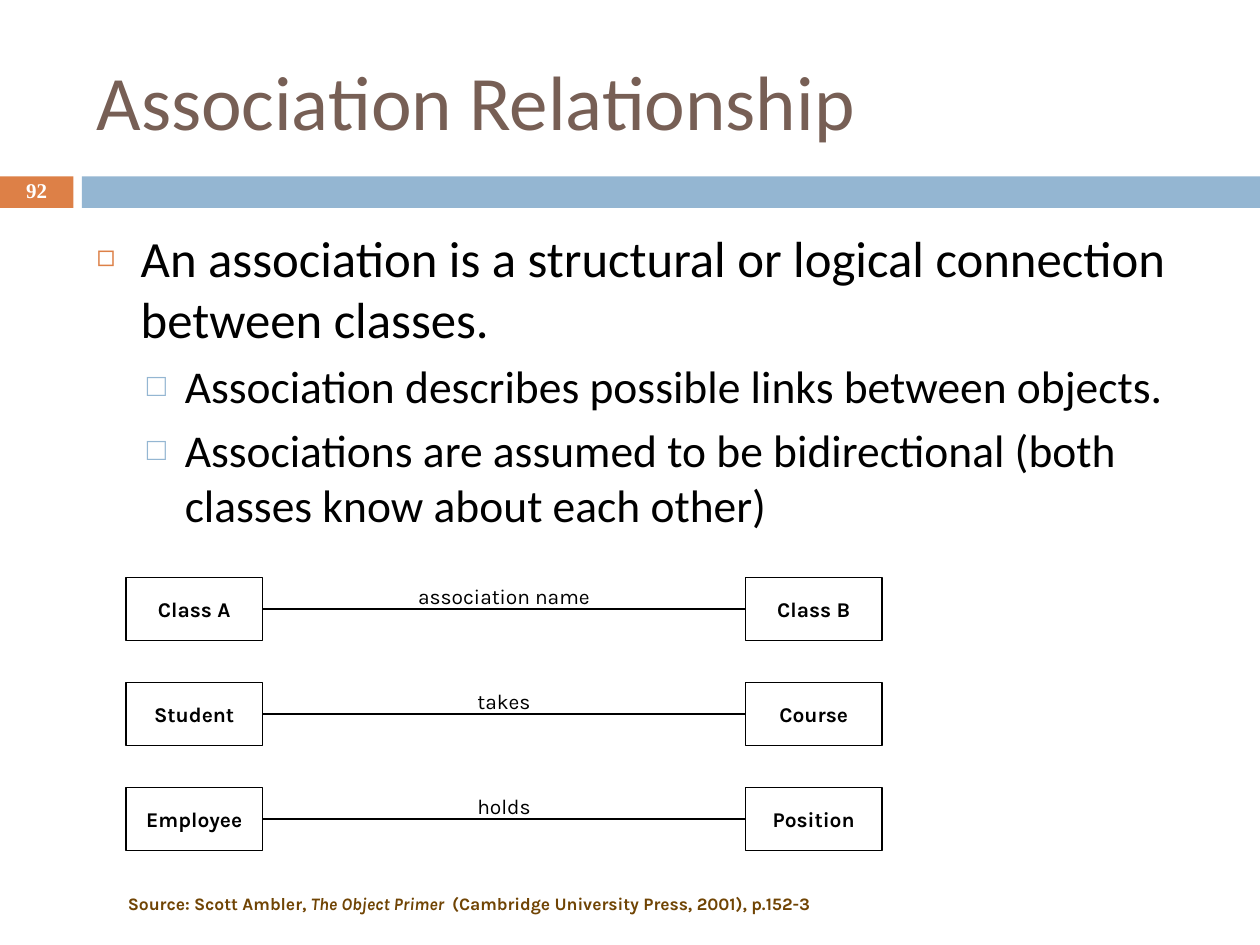
import dataclasses
import typing

import pptx
import pptx.dml.color
import pptx.enum.shapes
import pptx.enum.text
import pptx.oxml.xmlchemy
import pptx.util
from lxml import etree

Pt = pptx.util.Pt
ANCHOR = pptx.enum.text.MSO_ANCHOR
ALIGN = pptx.enum.text.PP_ALIGN
FIT = pptx.enum.text.MSO_AUTO_SIZE
RECTANGLE = pptx.enum.shapes.MSO_SHAPE.RECTANGLE
DRAWING = "{http://schemas.openxmlformats.org/drawingml/2006/main}"

ACCENT = "DD8047"
BAND = "94B6D2"
BLACK = "000000"
WHITE = "FFFFFF"

CLASS_LEFT, PARTNER_LEFT = 72, 426
CLASS_WIDTH, CLASS_HEIGHT = 78, 36
FIRST_ROW, ROW_STEP = 330, 60
LABEL_WIDTH, LABEL_HEIGHT = 126, 22

KARLA = {"name": "Karla", "size": Pt(12), "bold": False}
KARLA_BOLD = {**KARLA, "bold": True}
CITATION = {**KARLA_BOLD, "size": Pt(10)}
MIDDLE = {"vertical_anchor": ANCHOR.MIDDLE, "word_wrap": True}


@dataclasses.dataclass
class Association:
    source: str
    label: str
    target: str


@dataclasses.dataclass
class Point:
    text: str
    level: int
    size: float
    margin: float
    hanging: float
    before: float
    bullet: str
    bullet_color: str
    bullet_percent: int


ASSOCIATIONS = [
    Association("Class A", "association name", "Class B"),
    Association("Student", "takes", "Course"),
    Association("Employee", "holds", "Position"),
]

SUBPOINT = dict(level=1, size=26, margin=50.4, hanging=21.6, before=5.5,
                bullet="□", bullet_color=BAND, bullet_percent=70)
POINTS = [
    Point("An association is a structural or logical connection between classes.",
          0, 29, 25.2, 25.2, 0, "◻", ACCENT, 60),
    Point("Association describes possible links between objects.", **SUBPOINT),
    Point("Associations are assumed to be bidirectional (both classes know about each other)",
          **SUBPOINT),
]


def rgb(value: str) -> pptx.dml.color.RGBColor:
    return pptx.dml.color.RGBColor.from_string(value)


def apply(target: typing.Any, values: dict) -> None:
    for attribute, value in values.items():
        setattr(target, attribute, value)


def place(shape: typing.Any, left: float, top: float, width: float, height: float) -> None:
    apply(shape, {"left": Pt(left), "top": Pt(top), "width": Pt(width), "height": Pt(height)})


def write(paragraph: typing.Any, text: str, font: dict, color: str) -> None:
    run = paragraph.add_run()
    run.text = text
    apply(run.font, font)
    run.font.color.rgb = rgb(color)


def add_rectangle(slide: typing.Any, left: float, top: float, width: float, height: float,
                  fill: str, outline: typing.Optional[str] = None) -> typing.Any:
    rectangle = slide.shapes.add_shape(RECTANGLE, Pt(left), Pt(top), Pt(width), Pt(height))
    rectangle.shadow.inherit = False
    rectangle.fill.solid()
    rectangle.fill.fore_color.rgb = rgb(fill)
    if outline:
        rectangle.line.color.rgb = rgb(outline)
        rectangle.line.width = Pt(1)
    else:
        rectangle.line.fill.background()
    return rectangle


def add_text(slide: typing.Any, left: float, top: float, width: float, height: float,
             frame: dict, alignment: typing.Any) -> typing.Any:
    box = slide.shapes.add_textbox(Pt(left), Pt(top), Pt(width), Pt(height))
    apply(box.text_frame, frame)
    paragraph = box.text_frame.paragraphs[0]
    paragraph.alignment = alignment
    return paragraph


def add_class(slide: typing.Any, name: str, left: float, top: float) -> typing.Any:
    box = add_rectangle(slide, left, top, CLASS_WIDTH, CLASS_HEIGHT, WHITE, BLACK)
    apply(box.text_frame, {**MIDDLE, "word_wrap": False})
    paragraph = box.text_frame.paragraphs[0]
    paragraph.alignment = ALIGN.CENTER
    write(paragraph, name, KARLA_BOLD, BLACK)
    return box


def add_association(slide: typing.Any, association: Association, top: float) -> None:
    source = add_class(slide, association.source, CLASS_LEFT, top)
    target = add_class(slide, association.target, PARTNER_LEFT, top)
    link = slide.shapes.add_connector(pptx.enum.shapes.MSO_CONNECTOR.STRAIGHT, 0, 0, 0, 0)
    link.begin_connect(source, 3)
    link.end_connect(target, 1)
    link.line.color.rgb = rgb(BLACK)
    link.line.width = Pt(1)
    etree.SubElement(link._element.spPr, DRAWING + "effectLst")
    label_left = (CLASS_LEFT + PARTNER_LEFT + CLASS_WIDTH - LABEL_WIDTH) / 2
    label = add_text(slide, label_left, top, LABEL_WIDTH, LABEL_HEIGHT,
                     {"word_wrap": True, "auto_size": FIT.SHAPE_TO_FIT_TEXT}, ALIGN.CENTER)
    write(label, association.label, KARLA, BLACK)


def add_point(paragraph: typing.Any, point: Point) -> None:
    properties = paragraph._p.get_or_add_pPr()
    properties.set("marL", str(int(Pt(point.margin))))
    properties.set("indent", str(-int(Pt(point.hanging))))
    bullet_color = etree.SubElement(properties, DRAWING + "buClr")
    etree.SubElement(bullet_color, DRAWING + "srgbClr", val=point.bullet_color)
    etree.SubElement(properties, DRAWING + "buSzPct", val=str(point.bullet_percent * 1000))
    etree.SubElement(properties, DRAWING + "buChar", char=point.bullet)
    apply(paragraph, {"level": point.level, "space_before": Pt(point.before),
                      "alignment": ALIGN.LEFT})
    write(paragraph, point.text, {"name": "Calibri", "size": Pt(point.size)}, BLACK)


def main() -> None:
    deck = pptx.Presentation()
    apply(deck, {"slide_width": Pt(720), "slide_height": Pt(540)})
    slide = deck.slides.add_slide(deck.slide_layouts[1])

    add_rectangle(slide, 0, 100.8, 42, 18, ACCENT)
    add_rectangle(slide, 46.8, 100.8, 673.2, 18, BAND)

    title = slide.shapes.title
    place(title, 48, 18, 642, 78)
    apply(title.text_frame, {**MIDDLE, "auto_size": FIT.NONE})
    heading = title.text_frame.paragraphs[0]
    heading.alignment = ALIGN.LEFT
    write(heading, "Association Relationship", {"name": "Calibri", "size": Pt(44)}, "775F55")

    number = add_text(slide, 0, 100, 42, 19.5, MIDDLE, ALIGN.CENTER)
    number.line_spacing = 0.8
    write(number, "92", {"name": "Times New Roman", "size": Pt(12), "bold": True}, WHITE)

    body = slide.placeholders[1]
    place(body, 48, 126, 642, 354)
    apply(body.text_frame, {"vertical_anchor": ANCHOR.TOP, "word_wrap": True,
                            "auto_size": FIT.NONE})
    for index, point in enumerate(POINTS):
        paragraph = body.text_frame.add_paragraph() if index else body.text_frame.paragraphs[0]
        add_point(paragraph, point)

    citation = add_text(slide, 66, 504, 462, 24, MIDDLE, ALIGN.LEFT)
    for text, italic in [("Source: Scott Ambler, ", False), ("The Object Primer  ", True),
                         ("(Cambridge University Press, 2001), p.152-3", False)]:
        write(citation, text, {**CITATION, "italic": italic}, "704404")

    for row, association in enumerate(ASSOCIATIONS):
        add_association(slide, association, FIRST_ROW + row * ROW_STEP)

    deck.save("out.pptx")


if __name__ == "__main__":
    main()
